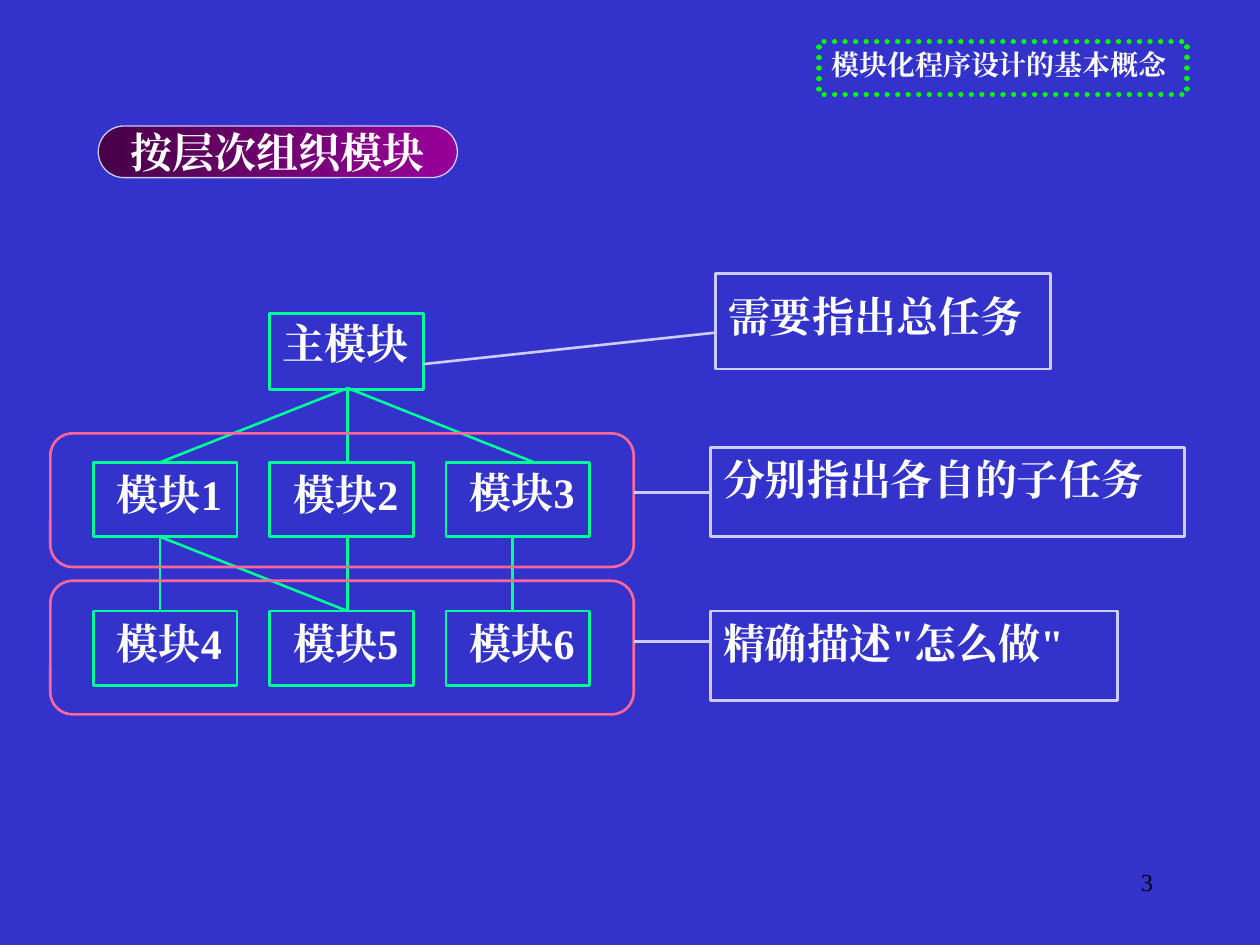
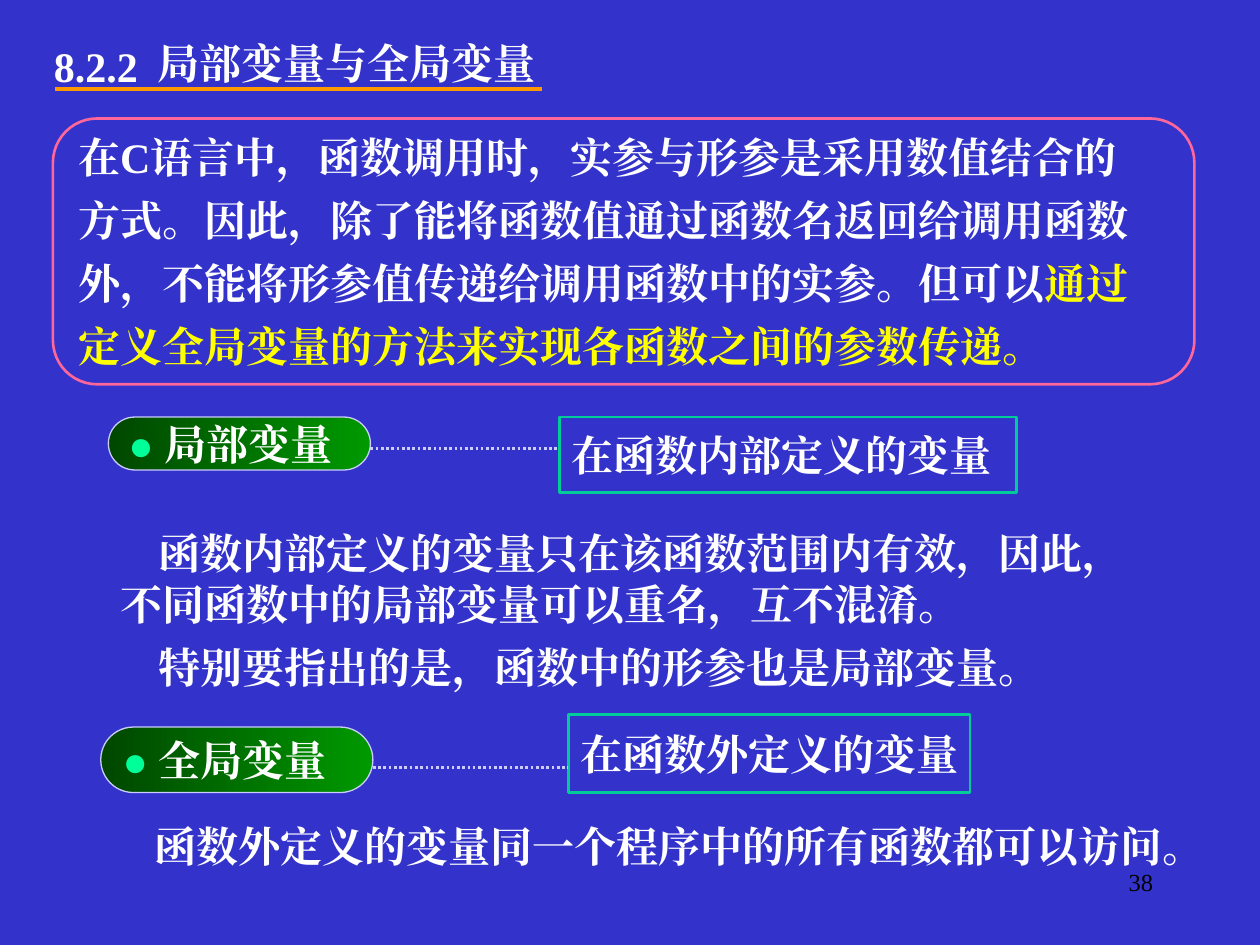
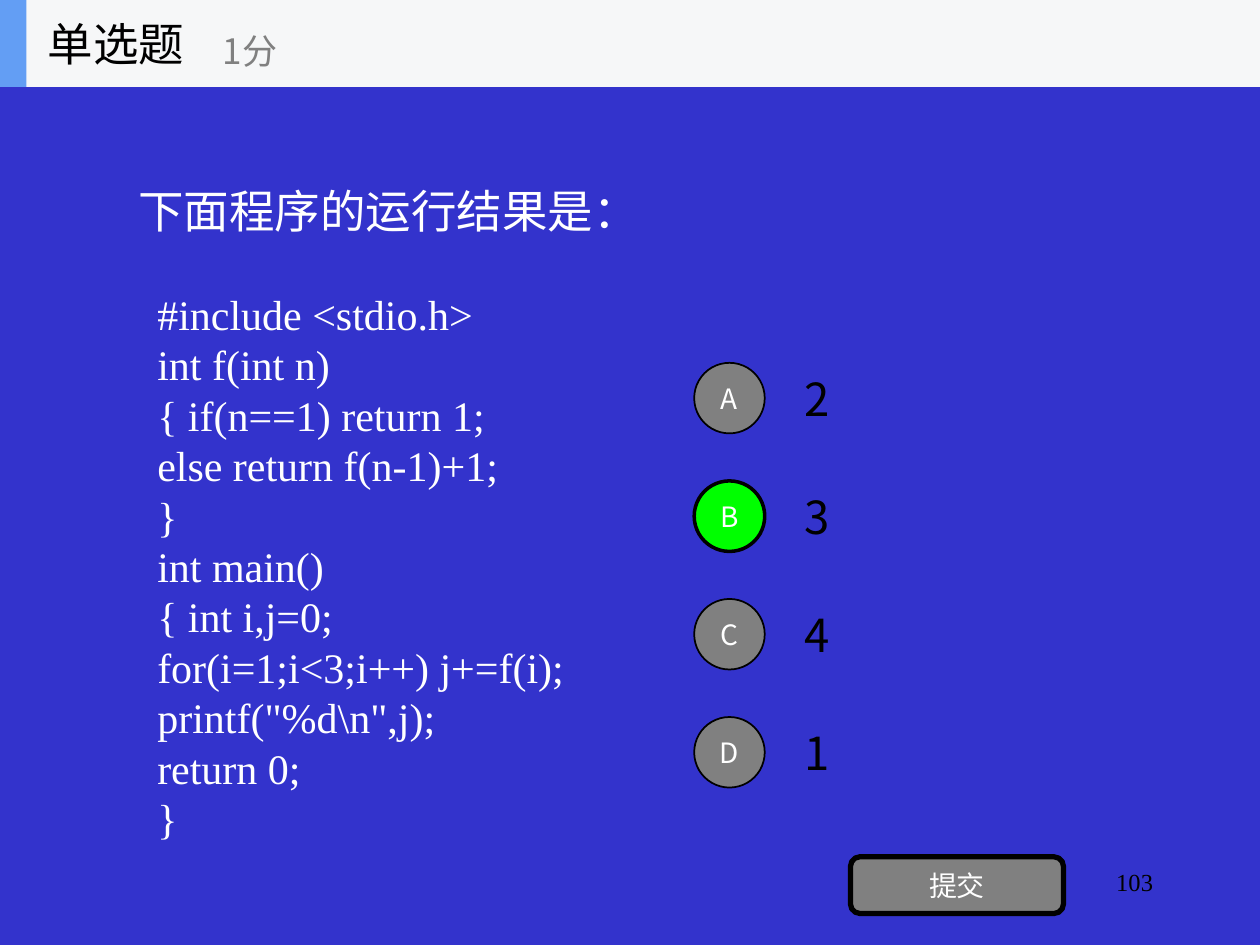
import pptx
import pptx.dml.color
import pptx.enum.dml
import pptx.enum.shapes
import pptx.enum.text
import pptx.oxml
import pptx.oxml.ns
import pptx.util

Inches = pptx.util.Inches
Pt = pptx.util.Pt
SHAPE = pptx.enum.shapes.MSO_SHAPE
ALIGN = pptx.enum.text.PP_ALIGN
ANCHOR = pptx.enum.text.MSO_ANCHOR
DOTTED = pptx.enum.dml.MSO_LINE.ROUND_DOT

BLUE = "3333CC"
WHITE = "FFFFFF"
BLACK = "000000"
GREY = "808080"
YELLOW = "FFFF00"
PINK = "FF6699"
LAVENDER = "CCCCFF"
SPRING = "00FF99"
TEAL = "00CC99"
LIME = "00FF00"
ORANGE = "FF9900"
PURPLE_FADE = ("470047", "990099")
GREEN_FADE = ("004700", "009900")

SERIF = "Times New Roman"
SANS = "Noto Sans CJK SC"
BODY = {"name": SERIF, "size": Pt(24), "bold": True}
HEADER = {**BODY, "size": Pt(16)}
CODE = {**BODY, "bold": False}
PAGE = {**CODE, "size": Pt(14)}
QUIZ = {"name": SANS, "size": Pt(26), "bold": False}
SCORE = {**QUIZ, "size": Pt(20)}
BUTTON = {**QUIZ, "size": Pt(16)}


def rgb(color):
    return pptx.dml.color.RGBColor.from_string(color)


def lengths(values):
    return [Inches(value) for value in values]


def format_run(run, style, color):
    for attribute, value in style.items():
        setattr(run.font, attribute, value)
    run.font.color.rgb = rgb(color)
    east_asian = pptx.oxml.parse_xml(
        f'<a:ea {pptx.oxml.ns.nsdecls("a")} typeface="{style["name"]}"/>')
    run.font._element.append(east_asian)


def write_text(frame, paragraphs, style=BODY, color=WHITE, align=ALIGN.LEFT,
               anchor=ANCHOR.TOP, wrap=True, indent=0, gap=0):
    frame.word_wrap = wrap
    frame.auto_size = pptx.enum.text.MSO_AUTO_SIZE.NONE
    frame.vertical_anchor = anchor
    for index, pieces in enumerate(paragraphs):
        paragraph = frame.paragraphs[0] if index == 0 else frame.add_paragraph()
        paragraph.alignment = align
        paragraph.space_before = Pt(gap if index else 0)
        if style["name"] == SERIF:
            paragraph.line_spacing = Pt(style["size"].pt * 1.2)
        if indent:
            paragraph._p.get_or_add_pPr().set("indent", str(Inches(indent)))
        if isinstance(pieces, str):
            pieces = [(pieces, color)]
        for text, piece_color in pieces:
            run = paragraph.add_run()
            run.text = text
            format_run(run, style, piece_color)


def add_text(slide, box, paragraphs, **options):
    text_box = slide.shapes.add_textbox(*lengths(box))
    write_text(text_box.text_frame, paragraphs, **options)


def add_title(slide, box, text, style=BODY):
    title = slide.shapes.title
    title.left, title.top, title.width, title.height = lengths(box)
    write_text(title.text_frame, [text], style)


def add_page_number(slide, number):
    add_text(slide, (7.17, 6.83, 2.08, 0.5), [number], style=PAGE, color=BLACK,
             align=ALIGN.RIGHT)


def add_box(slide, box, kind=SHAPE.RECTANGLE, fill=None, line=None, width=1.5,
            rounding=None):
    shape = slide.shapes.add_shape(kind, *lengths(box))
    shape.shadow.inherit = False
    if rounding is not None:
        shape.adjustments[0] = rounding
    if fill is None:
        shape.fill.background()
    elif isinstance(fill, tuple):
        shape.fill.gradient()
        shape.fill.gradient_angle = 0
        for stop, color in zip(shape.fill.gradient_stops, fill):
            stop.color.rgb = rgb(color)
    else:
        shape.fill.solid()
        shape.fill.fore_color.rgb = rgb(fill)
    if line is None:
        shape.line.fill.background()
    else:
        shape.line.color.rgb = rgb(line)
        shape.line.width = Pt(width)
    return shape


def add_label(shape, pieces, **options):
    write_text(shape.text_frame, [pieces], anchor=ANCHOR.MIDDLE, wrap=False, **options)


def add_line(slide, start, end, color, width=1.5, dash=None):
    line = slide.shapes.add_connector(
        pptx.enum.shapes.MSO_CONNECTOR.STRAIGHT, *lengths(start + end))
    line.line.color.rgb = rgb(color)
    line.line.width = Pt(width)
    if dash:
        line.line.dash_style = dash
    line._element.spPr.append(
        pptx.oxml.parse_xml(f'<a:effectLst {pptx.oxml.ns.nsdecls("a")}/>'))


def add_pill(slide, box, fade, pieces, align=ALIGN.LEFT):
    pill = add_box(slide, box, SHAPE.ROUNDED_RECTANGLE, fade, LAVENDER, 0.75, 0.5)
    add_label(pill, pieces, align=align)


def add_definition(slide, pill_box, term, meaning_box, meaning, line_y):
    add_pill(slide, pill_box, GREEN_FADE, [("● ", SPRING), (term, WHITE)])
    add_label(add_box(slide, meaning_box, line=TEAL), meaning)
    add_line(slide, (pill_box[0] + pill_box[2], line_y), (meaning_box[0], line_y),
             LAVENDER, dash=DOTTED)


def add_note(slide, box, text_top, text, start, end):
    left, top, width, height = box
    add_box(slide, box, line=LAVENDER)
    add_text(slide, (left, text_top, width, 0.5), [text])
    add_line(slide, start, end, LAVENDER)


def build_hierarchy(slide):
    add_title(slide, (6.5, 0.33, 3, 0.37), "模块化程序设计的基本概念", HEADER)
    add_pill(slide, (0.78, 1, 2.85, 0.41), PURPLE_FADE, "按层次组织模块", ALIGN.CENTER)

    main_x, main_bottom = 2.76, 3.08
    row_tops, box_height = (3.67, 4.85), 0.59
    add_box(slide, (2.14, 2.49, 1.22, 0.6), line=SPRING)
    add_text(slide, (2.14, 2.47, 1.22, 0.5), ["主模块"])
    for number in range(6):
        row, column = divmod(number, 3)
        left, top = 0.74 + 1.4 * column, row_tops[row]
        text_top = top - 0.02 if number == 2 else top
        add_box(slide, (left, top, 1.14, box_height), line=SPRING)
        add_text(slide, (left + 0.09, text_top, 1.14, 0.5), [f"模块{number + 1}"])

    for child_x in (main_x, 1.27, 4.24):
        add_line(slide, (main_x, main_bottom), (child_x, row_tops[0]), SPRING)
    for parent_x, child_x in ((main_x, main_x), (1.27, 1.27), (1.27, main_x), (4.07, 4.07)):
        add_line(slide, (parent_x, row_tops[0] + box_height), (child_x, row_tops[1]), SPRING)

    for level_top in (3.44, 4.61):
        add_box(slide, (0.4, level_top, 4.63, 1.06), SHAPE.ROUNDED_RECTANGLE, line=PINK)
    add_note(slide, (5.68, 2.17, 2.66, 0.76), 2.26, "需要指出总任务",
             (3.36, 2.89), (5.68, 2.64))
    add_note(slide, (5.64, 3.55, 3.76, 0.71), 3.55, "分别指出各自的子任务",
             (5.03, 3.91), (5.64, 3.91))
    add_note(slide, (5.64, 4.85, 3.23, 0.71), 4.85, "精确描述\"怎么做\"",
             (5.03, 5.09), (5.64, 5.09))

    title_frame = add_box(slide, (6.5, 0.33, 2.92, 0.42), line=LIME, width=3)
    title_frame.line.dash_style = DOTTED
    title_frame.line._get_or_add_ln().set("cap", "rnd")
    add_page_number(slide, "3")


def build_variables(slide):
    add_title(slide, (1.15, 0.25, 3.3, 0.5), "局部变量与全局变量")
    add_line(slide, (0.44, 0.71), (4.3, 0.71), ORANGE, 2.25)
    add_text(slide, (0.33, 0.27, 1.06, 0.5), ["8.2.2"])

    summary = add_box(slide, (0.42, 0.94, 9.06, 2.11), SHAPE.ROUNDED_RECTANGLE, line=PINK)
    write_text(summary.text_frame, [
        "在C语言中，函数调用时，实参与形参是采用数值结合的",
        "方式。因此，除了能将函数值通过函数名返回给调用函数",
        [("外，不能将形参值传递给调用函数中的实参。但可以", WHITE), ("通过", YELLOW)],
        [("定义全局变量的方法来实现各函数之间的参数传递。", YELLOW)],
    ], anchor=ANCHOR.MIDDLE, wrap=False, gap=7.2)

    add_text(slide, (0.86, 4.14, 8.2, 1.43), [
        "函数内部定义的变量只在该函数范围内有效，因此，不同函数中的局部变量可以重名，互不混淆。",
        "特别要指出的是，函数中的形参也是局部变量。",
    ], indent=0.3, gap=7.2)
    add_definition(slide, (0.86, 3.31, 2.08, 0.42), "局部变量",
                   (4.44, 3.31, 3.63, 0.6), "在函数内部定义的变量", 3.56)
    add_definition(slide, (0.8, 5.77, 2.16, 0.52), "全局变量",
                   (4.51, 5.67, 3.19, 0.62), "在函数外定义的变量", 6.09)
    add_text(slide, (0.83, 6.46, 8.9, 0.5),
             ["函数外定义的变量同一个程序中的所有函数都可以访问。"], indent=0.3)
    add_page_number(slide, "38")


def build_quiz(slide):
    add_page_number(slide, "103")
    add_text(slide, (1, 0.69, 8, 1.95), ["下面程序的运行结果是："], style=QUIZ,
             anchor=ANCHOR.MIDDLE)

    correct = "B"
    for index, (letter, answer) in enumerate(zip("ABCD", "2341")):
        top = 2.81 + 0.937 * index
        add_text(slide, (6.29, top, 3.5, 0.7), [answer], style=QUIZ, color=BLACK,
                 anchor=ANCHOR.MIDDLE)
        fill, width = (LIME, 2) if letter == correct else (GREY, 1)
        choice = add_box(slide, (5.51, top + 0.07, 0.56, 0.56), SHAPE.OVAL, fill, BLACK, width)
        add_label(choice, letter, style=BUTTON, align=ALIGN.CENTER)

    submit = add_box(slide, (6.75, 6.8, 1.69, 0.45), SHAPE.ROUNDED_RECTANGLE, GREY, BLACK, 3)
    add_label(submit, "提交", style=BUTTON, align=ALIGN.CENTER)

    add_text(slide, (1.15, 2.24, 5, 4.54), [
        "#include <stdio.h>",
        "int f(int n)",
        "{ if(n==1) return 1;",
        "else return f(n-1)+1;",
        "}",
        "int main()",
        "{ int i,j=0;",
        "for(i=1;i<3;i++) j+=f(i);",
        "printf(\"%d\\n\",j);",
        "return 0;",
        "}",
    ], style=CODE)

    add_box(slide, (0, 0, 10, 0.69), fill="F6F7F8")
    add_box(slide, (0, 0, 0.21, 0.69), fill="639EF4")
    add_text(slide, (0.28, 0, 2.08, 0.69), ["单选题"], style=QUIZ, color=BLACK,
             anchor=ANCHOR.MIDDLE, wrap=False)
    add_text(slide, (1.67, 0.12, 2.5, 0.56), ["1分"], style=SCORE, color=GREY,
             anchor=ANCHOR.MIDDLE, wrap=False)


def main():
    deck = pptx.Presentation()
    deck.slide_width, deck.slide_height = Inches(10), Inches(7.5)
    background = deck.slide_master.background.fill
    background.solid()
    background.fore_color.rgb = rgb(BLUE)
    title_only, blank = deck.slide_layouts[5], deck.slide_layouts[6]
    build_hierarchy(deck.slides.add_slide(title_only))
    build_variables(deck.slides.add_slide(title_only))
    build_quiz(deck.slides.add_slide(blank))
    deck.save("out.pptx")


if __name__ == "__main__":
    main()
